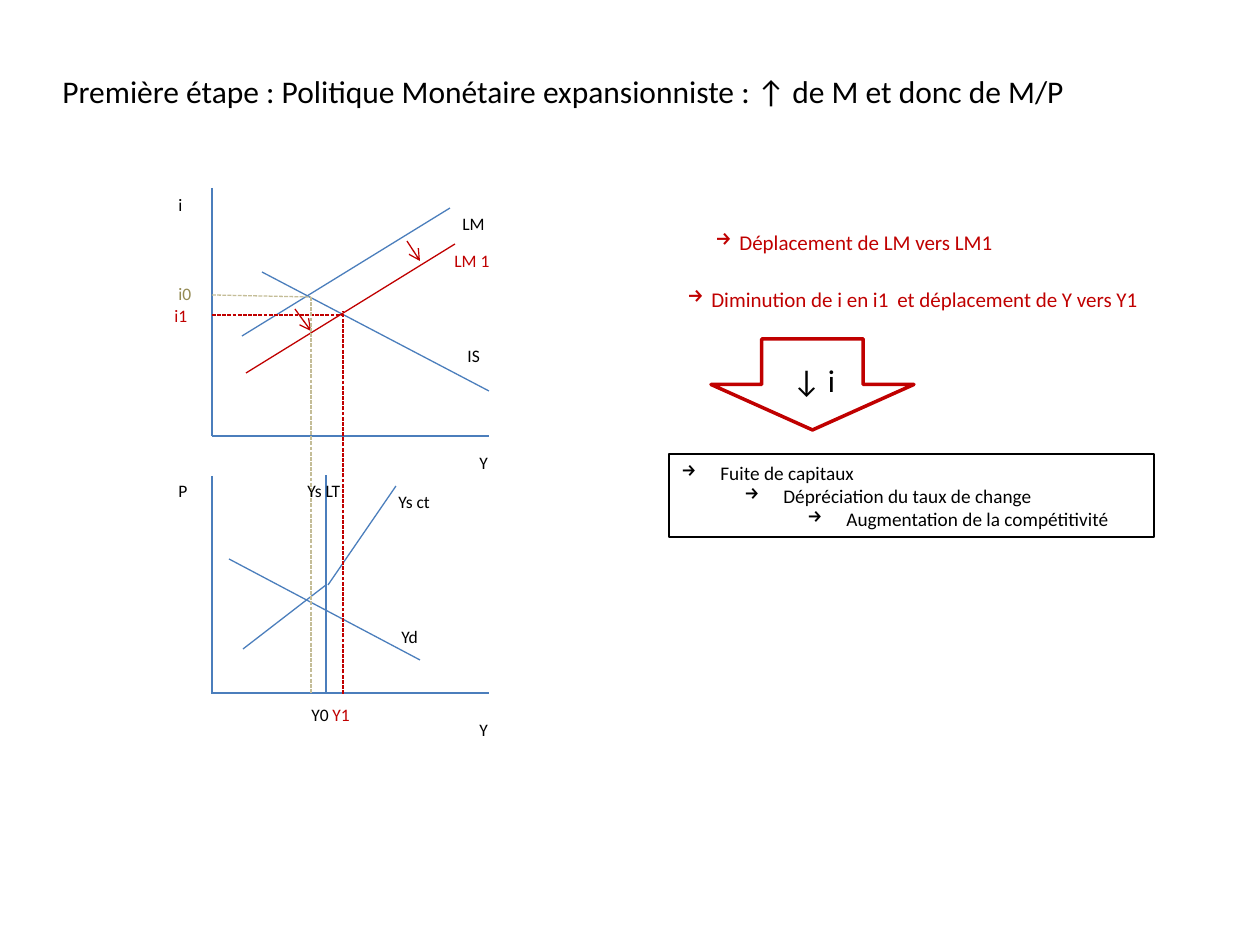
from pptx import Presentation
from pptx.dml.color import RGBColor
from pptx.enum.dml import MSO_LINE
from pptx.enum.shapes import MSO_CONNECTOR, MSO_SHAPE
from pptx.enum.text import MSO_AUTO_SIZE, PP_ALIGN
from pptx.oxml.ns import qn
from pptx.util import Pt
from lxml.etree import SubElement

EMU_PER_PX = 914400 / 126
LEVEL_INDENT = 63
LABEL_HEIGHT = 34
COLORS = {
    "black": "000000",
    "blue": "4B7EBC",
    "red": "C00000",
    "sand": "C4BD97",
    "olive": "948A54",
}


def px(length):
    return round(length * EMU_PER_PX)


def rgb(color):
    return RGBColor.from_string(COLORS[color])


def write_text(shape, *lines, size=10, color="black", level=0, step=0, hang=0, wrap=True):
    """Write one paragraph per line; a hanging indent brings an arrow bullet."""
    frame = shape.text_frame
    frame.word_wrap = wrap
    frame.auto_size = MSO_AUTO_SIZE.SHAPE_TO_FIT_TEXT
    for index, line in enumerate(lines):
        paragraph = frame.paragraphs[0] if index == 0 else frame.add_paragraph()
        paragraph.alignment = PP_ALIGN.LEFT
        paragraph.level = level + index * step
        run = paragraph.add_run()
        run.text = line
        run.font.name = "Calibri"
        run.font.size = Pt(size)
        run.font.color.rgb = rgb(color)
        properties = paragraph._p.get_or_add_pPr()
        properties.set("marL", str(px(paragraph.level * LEVEL_INDENT + hang)))
        properties.set("indent", str(px(-hang)))
        if hang:
            SubElement(properties, qn("a:buChar")).set("char", "→")


def add_text(slide, box, text, **text_format):
    write_text(slide.shapes.add_textbox(*map(px, box)), text, **text_format)


def add_line(slide, start, end, color="blue", dashed=False, arrow=False):
    line = slide.shapes.add_connector(MSO_CONNECTOR.STRAIGHT, *map(px, start + end))
    line.line.color.rgb = rgb(color)
    line.line.width = Pt(0.75)
    if dashed:
        line.line.dash_style = MSO_LINE.SQUARE_DOT
    if arrow:
        SubElement(line.line._get_or_add_ln(), qn("a:tailEnd")).set("type", "arrow")
    SubElement(line._element.spPr, qn("a:effectLst"))


def add_outline(slide, preset, box, color, width):
    shape = slide.shapes.add_shape(preset, *map(px, box))
    shape.shadow.inherit = False
    shape.fill.background()
    shape.line.color.rgb = rgb(color)
    shape.line.width = Pt(width)
    return shape


def add_labels(slide, labels):
    for text, left, top, width, color in labels:
        add_text(slide, (left, top, width, LABEL_HEIGHT), text, color=color)


def draw_is_lm(slide):
    # Axes, LM and IS
    add_line(slide, (212, 188), (212, 436))
    add_line(slide, (489, 436), (212, 436))
    add_line(slide, (242, 336), (450, 208))
    add_line(slide, (489, 391), (262, 272))
    # Shift from LM to LM 1
    add_line(slide, (246, 373), (455, 244), color="red")
    add_line(slide, (407, 241), (420, 261), color="red", arrow=True)
    add_line(slide, (295, 309), (311, 331), color="red", arrow=True)
    # Interest rates
    add_line(slide, (212, 295), (311, 297), color="sand", dashed=True)
    add_line(slide, (212, 315), (343, 315), color="red", dashed=True)
    add_labels(slide, [
        ("i", 166, 188, 35, "black"),
        ("LM", 450, 207, 69, "black"),
        ("LM 1", 442, 244, 69, "red"),
        ("IS", 455, 339, 69, "black"),
        ("Y", 467, 446, 35, "black"),
        ("i0", 166, 277, 44, "olive"),
        ("i1", 162, 299, 44, "red"),
    ])


def draw_supply_demand(slide):
    # Axes
    add_line(slide, (212, 476), (212, 694))
    add_line(slide, (489, 693), (212, 693))
    # Short-run supply, long-run supply and demand
    add_line(slide, (243, 649), (326, 585))
    add_line(slide, (328, 585), (396, 486))
    add_line(slide, (326, 694), (326, 475))
    add_line(slide, (229, 559), (420, 660))
    # Output levels, carried down from the upper graph
    add_line(slide, (311, 297), (311, 693), color="sand", dashed=True)
    add_line(slide, (343, 694), (343, 311), color="red", dashed=True)
    add_labels(slide, [
        ("P", 166, 474, 35, "black"),
        ("Ys LT", 295, 474, 77, "black"),
        ("Ys ct", 386, 485, 73, "black"),
        ("Yd", 389, 620, 78, "black"),
        ("Y0", 299, 698, 47, "black"),
        ("Y1", 320, 698, 47, "red"),
        ("Y", 467, 713, 35, "black"),
    ])


def draw_explanation(slide):
    # Effects of the policy
    effect = {"size": 12, "color": "red"}
    add_text(slide, (640, 223, 369, 38), "Déplacement de LM vers LM1",
             level=1, hang=24, wrap=False, **effect)
    add_text(slide, (549, 280, 630, 38), "Diminution de i en i1",
             level=2, hang=24, **effect)
    add_text(slide, (759, 280, 396, 38), "et déplacement de Y vers Y1",
             level=2, wrap=False, **effect)
    # Consequences of the lower interest rate
    consequences = add_outline(slide, MSO_SHAPE.RECTANGLE, (669, 454, 485, 83), "black", 0.75)
    write_text(consequences, "Fuite de capitaux", "Dépréciation du taux de change",
               "Augmentation de la compétitivité", size=11, step=1, hang=39)
    add_outline(slide, MSO_SHAPE.DOWN_ARROW, (711, 339, 203, 91), "red", 2)
    add_text(slide, (780, 355, 89, 50), "↓ i", size=18)


def main():
    presentation = Presentation()
    presentation.slide_width, presentation.slide_height = px(1260), px(945)
    slide = presentation.slides.add_slide(presentation.slide_layouts[6])
    add_text(slide, (50, 66, 1129, 50),
             "Première étape : Politique Monétaire expansionniste : ↑ de M et donc de M/P", size=18)
    draw_is_lm(slide)
    draw_supply_demand(slide)
    draw_explanation(slide)
    presentation.save("out.pptx")


if __name__ == "__main__":
    main()
